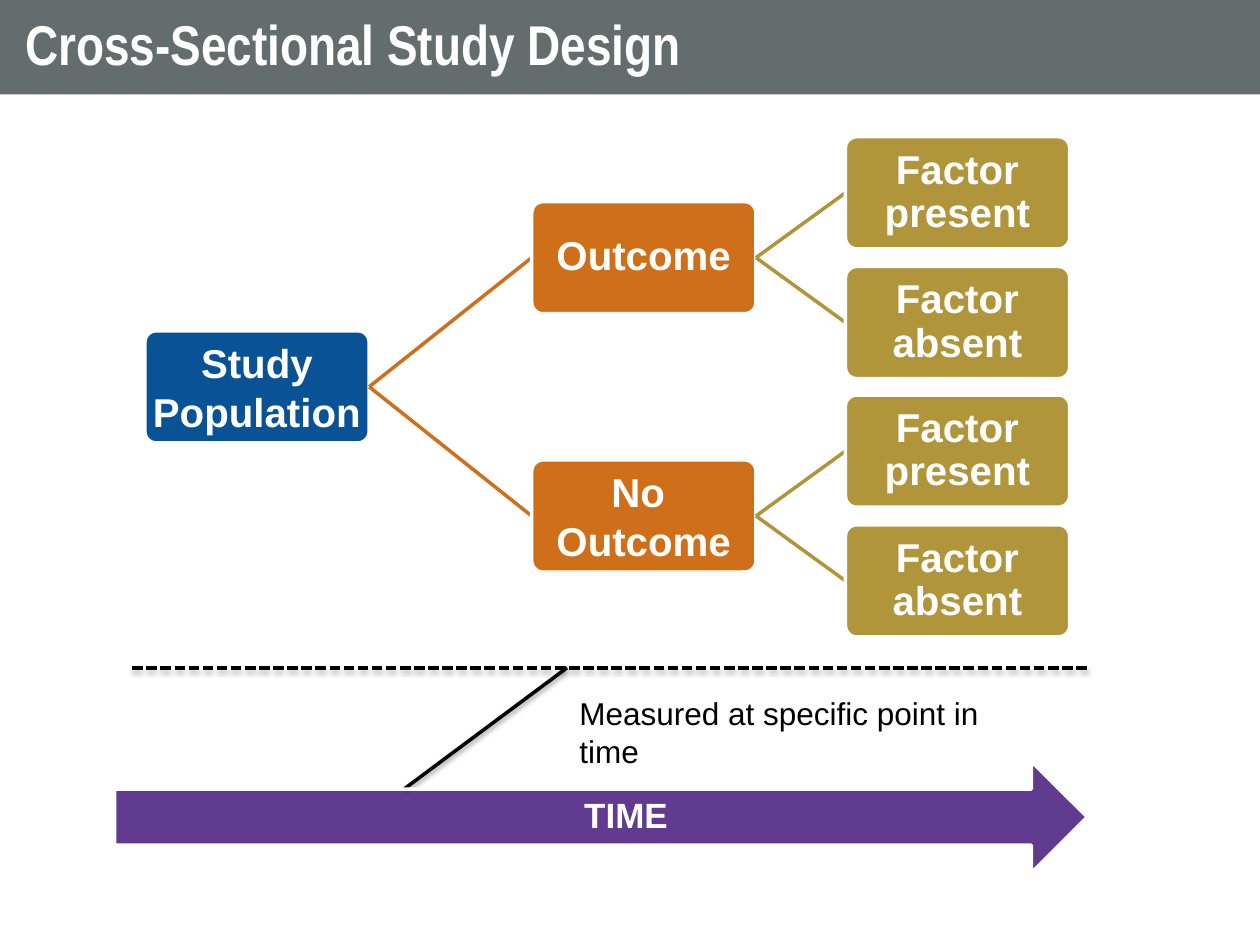
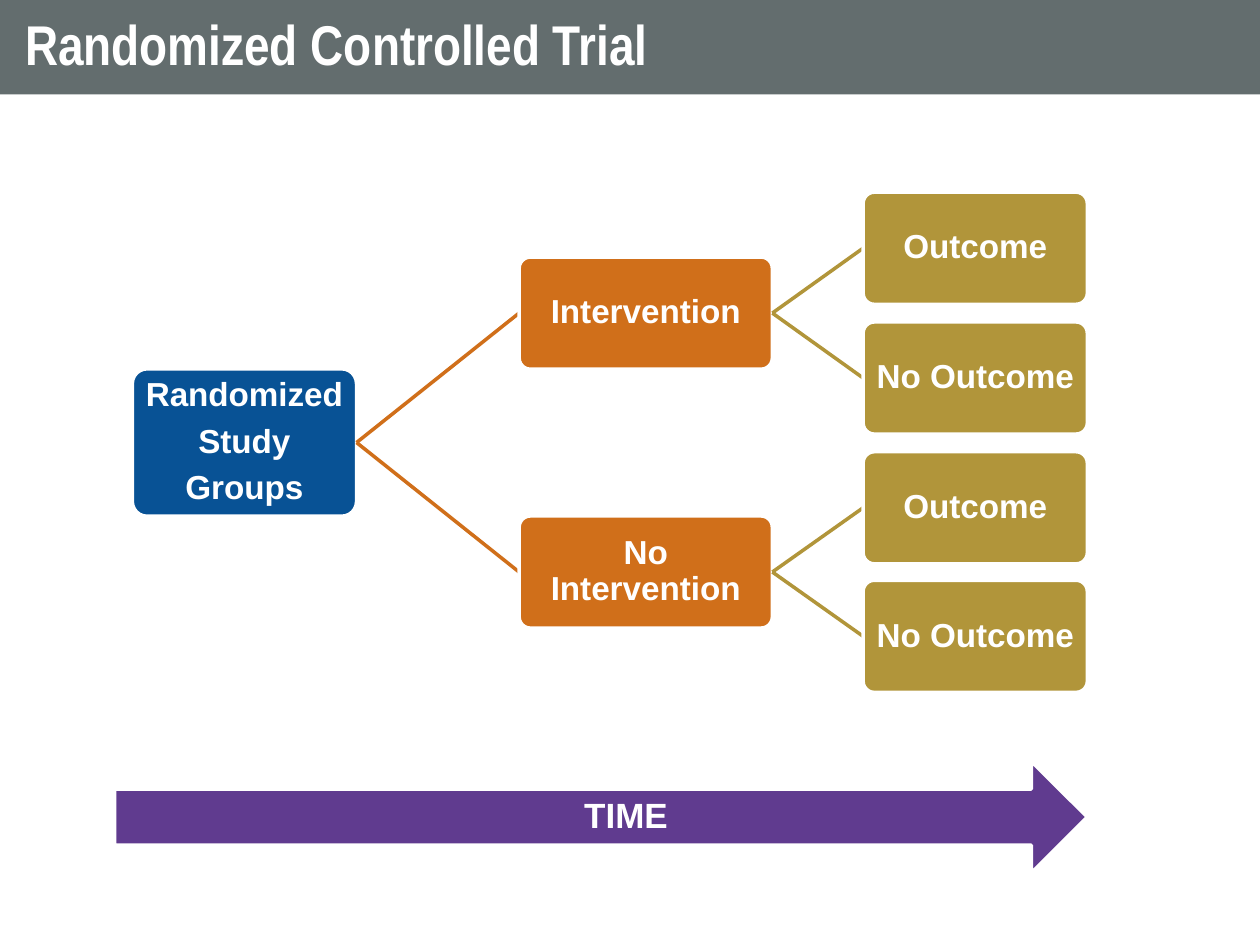
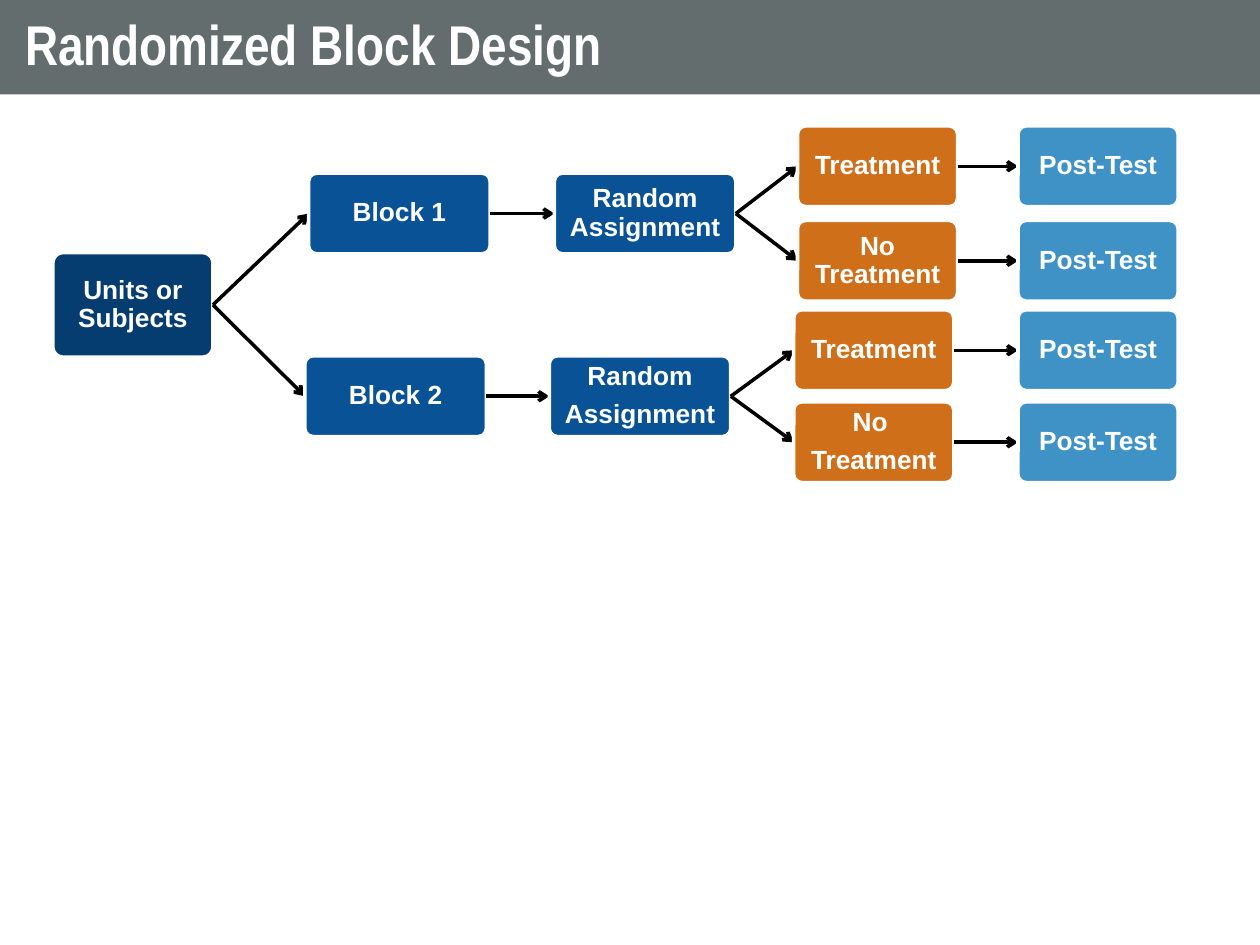
from lxml.etree import SubElement
from pptx import Presentation
from pptx.dml.color import RGBColor
from pptx.enum.dml import MSO_LINE
from pptx.enum.shapes import MSO_CONNECTOR as CONNECTOR, MSO_SHAPE as SHAPE
from pptx.enum.text import MSO_ANCHOR as ANCHOR, PP_ALIGN as ALIGN
from pptx.oxml.ns import qn
from pptx.util import Inches, Pt

WHITE = RGBColor(0xFF, 0xFF, 0xFF)
BLACK = RGBColor(0, 0, 0)
SLATE = RGBColor(0x63, 0x6D, 0x6E)
NAVY = RGBColor(0x06, 0x3D, 0x70)
BLUE = RGBColor(0x08, 0x52, 0x95)
SKY = RGBColor(0x3E, 0x92, 0xC6)
ORANGE = RGBColor(0xD0, 0x6F, 0x1A)
GOLD = RGBColor(0xB1, 0x95, 0x3A)
PURPLE = RGBColor(0x4F, 0x26, 0x83)

WIDTH, HEIGHT = 10, 7.5
LINE = 2
BOX_INSETS = (0.02,) * 4
TITLE_FONT = dict(name="Arial Narrow", size=Pt(32), bold=True)

# A node is (text, children); each line of the text is a paragraph.
FACTORS = [("Factor present", []), ("Factor absent", [])]
OUTCOMES = [("Outcome", []), ("No Outcome", [])]


def block(name, assignment, untreated):
    arms = [(arm, [("Post-Test", [])]) for arm in ("Treatment", untreated)]
    return name, [(assignment, arms)]


# columns: left, width, height, fill, shift of the lower half
# stacked: line spacing and space after (pt) in boxes of several paragraphs
DESIGNS = [
    dict(
        title="Cross-Sectional Study Design",
        tree=("Study\nPopulation", [("Outcome", FACTORS), ("No \nOutcome", FACTORS)]),
        columns=[(1.15, 1.78, 0.89, BLUE, 0), (4.22, 1.78, 0.89, ORANGE, 0),
                 (6.71, 1.78, 0.89, GOLD, 0)],
        rows=[1.53, 2.56, 3.58, 4.61],
        size=23, stacked=(1, 0), arrows=False, time=True,
        caption="Measured at specific point in time",
    ),
    dict(
        title="Randomized Controlled Trial",
        tree=("Randomized\nStudy\nGroups",
              [("Intervention", OUTCOMES), ("No Intervention", OUTCOMES)]),
        columns=[(1.05, 1.78, 1.17, BLUE, 0), (4.12, 2.01, 0.89, ORANGE, 0),
                 (6.85, 1.78, 0.89, GOLD, 0)],
        rows=[1.97, 3, 4.03, 5.05],
        size=19, stacked=(0.9, 6), arrows=False, time=True,
    ),
    dict(
        title="Randomized Block Design",
        tree=("Units or Subjects",
              [block("Block 1", "Random Assignment", "No Treatment"),
               block("Block 2", "Random\nAssignment", "No \nTreatment")]),
        columns=[(0.42, 1.27, 0.83, NAVY, 0), (2.45, 1.44, 0.64, BLUE, -0.03),
                 (4.4, 1.44, 0.64, BLUE, -0.04), (6.33, 1.27, 0.64, ORANGE, -0.03),
                 (8.08, 1.27, 0.64, SKY, 0)],
        rows=[1.32, 2.07, 2.78, 3.51],
        size=15, stacked=(0.9, 5.25), arrows=True, time=False,
    ),
]


def set_text(sp, text, font, color, insets, align=ALIGN.LEFT, anchor=ANCHOR.MIDDLE,
             spacing=0.9, after=0):
    tf = sp.text_frame
    tf.text = text
    sides = ("left", "top", "right", "bottom")
    frame = {f"margin_{side}": Inches(v) for side, v in zip(sides, insets)}
    for key, value in (frame | dict(word_wrap=True, vertical_anchor=anchor)).items():
        setattr(tf, key, value)
    for p in tf.paragraphs:
        p.alignment, p.line_spacing, p.space_after = align, spacing, Pt(after)
        for key, value in font.items():
            setattr(p.font, key, value)
        p.font.color.rgb = color


def arial(size, bold=True):
    return dict(name="Arial", size=Pt(size), bold=bold)


def add_title(slide, text):
    sp = slide.shapes.title
    sp.left, sp.top, sp.width, sp.height = 0, 0, Inches(WIDTH), Inches(HEIGHT / 10)
    sp.fill.solid()
    sp.fill.fore_color.rgb = SLATE
    set_text(sp, text, TITLE_FONT, WHITE, (0.2, 0.1, 0.2, 0.1))


def add_filled(slide, kind, box, fill):
    sp = slide.shapes.add_shape(kind, *map(Inches, box))
    sp.shadow.inherit = False
    sp.fill.solid()
    sp.fill.fore_color.rgb = fill
    sp.line.color.rgb = WHITE
    sp.line.width = Pt(LINE)
    return sp


def add_line(slide, start, end, color, arrow=False, shadow=False, dash=None):
    c = slide.shapes.add_connector(CONNECTOR.STRAIGHT, *map(Inches, start + end))
    c.line.color.rgb = color
    c.line.width = Pt(LINE)
    c.line.dash_style = dash
    if arrow:
        SubElement(c.line._get_or_add_ln(), qn("a:tailEnd"), type="arrow")
    effects = SubElement(c._element.spPr, qn("a:effectLst"))
    if shadow:
        outer = SubElement(effects, qn("a:outerShdw"), blurRad=str(Pt(3.1)),
                           dist=str(Pt(1.6)), dir="5400000", rotWithShape="0")
        tint = SubElement(outer, qn("a:srgbClr"), val="000000")
        SubElement(tint, qn("a:alpha"), val="38000")


def with_centres(node, rows):
    """Give leaves the next row and each parent the middle of its children."""
    text, children = node
    placed = [with_centres(child, rows) for child in children]
    y = (placed[0][1] + placed[-1][1]) / 2 if placed else next(rows)
    return text, y, placed


def draw_tree(slide, design, node, middle, level=0, start=None):
    text, y, children = node
    left, width, height, fill, shift = design["columns"][level]
    if y > middle:
        left += shift
    if start:
        color = BLACK if design["arrows"] else fill
        add_line(slide, start, (left, y), color, arrow=design["arrows"])
    sp = add_filled(slide, SHAPE.ROUNDED_RECTANGLE,
                    (left, y - height / 2, width, height), fill)
    sp.adjustments[0] = 0.1
    size = design["size"]
    spacing, after = design["stacked"] if "\n" in text else (0.9, 0.35 * size)
    set_text(sp, text, arial(size), WHITE, BOX_INSETS, ALIGN.CENTER,
             spacing=spacing, after=after)
    for child in children:
        draw_tree(slide, design, child, middle, level + 1, (left + width, y))


def add_time_arrow(slide):
    sp = add_filled(slide, SHAPE.RIGHT_ARROW, (0.91, 6.04, 7.72, 0.89), PURPLE)
    tint = sp._element.spPr.find(qn("a:solidFill"))[0]
    SubElement(tint, qn("a:alpha"), val="90000")
    set_text(sp, "TIME", arial(20), WHITE, (0.62, 0, 0, 0), ALIGN.CENTER, after=7)


def add_time_point(slide, caption):
    add_line(slide, (4.5, 5.3), (3.21, 6.26), BLACK, shadow=True)
    add_line(slide, (1.05, 5.3), (8.65, 5.3), BLACK, shadow=True,
             dash=MSO_LINE.SQUARE_DOT)
    sp = slide.shapes.add_textbox(*map(Inches, (4.5, 5.46, 3.85, 0.4)))
    set_text(sp, caption, arial(18, bold=False), BLACK, (0.1, 0.05, 0.1, 0.05),
             anchor=ANCHOR.TOP, spacing=1)


def main():
    prs = Presentation()
    prs.slide_width, prs.slide_height = Inches(WIDTH), Inches(HEIGHT)
    for design in DESIGNS:
        slide = prs.slides.add_slide(prs.slide_layouts[5])
        add_title(slide, design["title"])
        if "caption" in design:
            add_time_point(slide, design["caption"])
        root = with_centres(design["tree"], iter(design["rows"]))
        draw_tree(slide, design, root, middle=root[1])
        if design["time"]:
            add_time_arrow(slide)
    prs.save("out.pptx")


if __name__ == "__main__":
    main()
